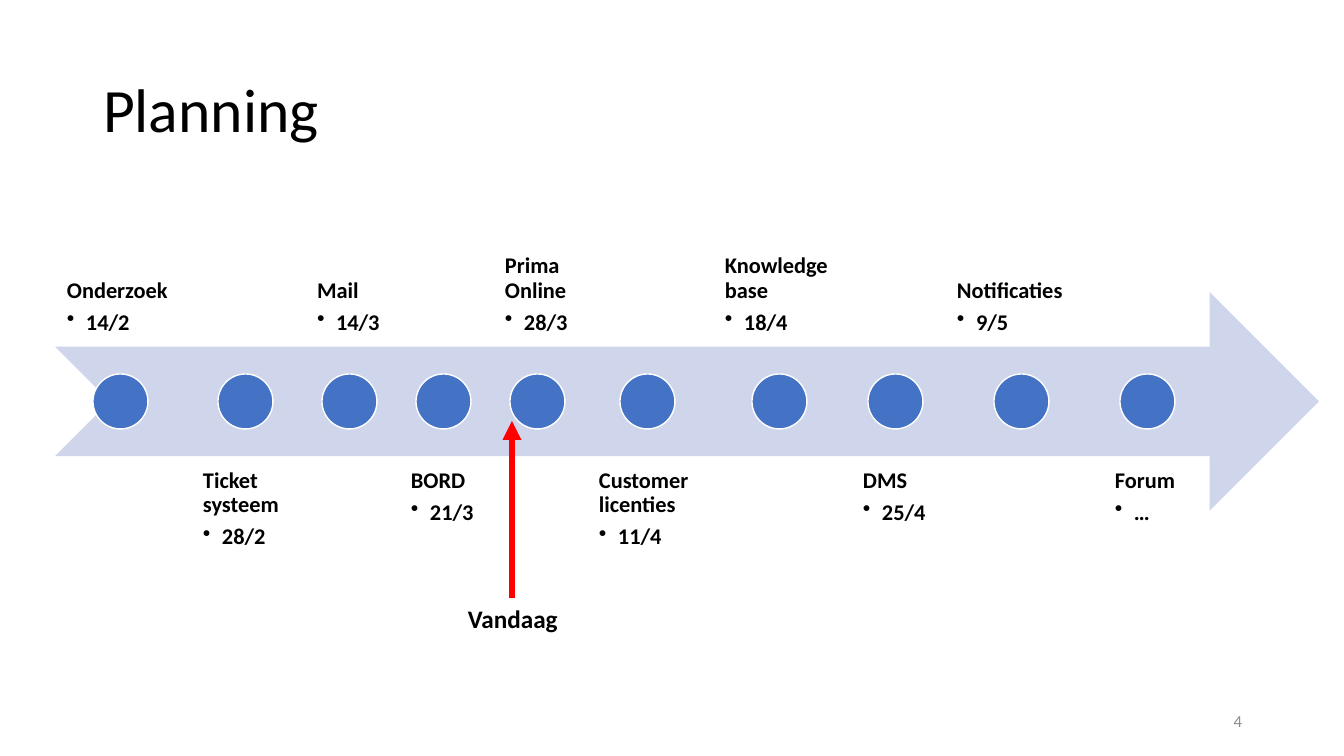
"""Build the planning timeline slide."""
import pptx
import pptx.util
import pptx.dml.color
import pptx.enum.shapes
import pptx.enum.text
import pptx.oxml

RGBColor = pptx.dml.color.RGBColor
Pt = pptx.util.Pt
ALIGN = pptx.enum.text.PP_ALIGN
ANCHOR = pptx.enum.text.MSO_ANCHOR
SHAPE = pptx.enum.shapes.MSO_SHAPE

BLACK = RGBColor(0x00, 0x00, 0x00)
GREY = RGBColor(0x8C, 0x8C, 0x8C)
WHITE = RGBColor(0xFF, 0xFF, 0xFF)
RED = RGBColor(0xFF, 0x00, 0x00)
BLUE = RGBColor(0x44, 0x72, 0xC4)
PALE_BLUE = RGBColor(0xCF, 0xD5, 0xEA)

PX = 914400 / 100.8
BAND_LEFT, BAND_TOP, BAND_WIDTH, BAND_HEIGHT = 55, 292, 1264, 219
LABEL_GAP, LABEL_INSET, BULLET_INDENT = 5, 12, 19
DOT = 55
MILESTONES = [
    ("Onderzoek", "14/2", 131),
    ("Ticket systeem", "28/2", 109),
    ("Mail", "14/3", 89),
    ("BORD", "21/3", 89),
    ("Prima Online", "28/3", 89),
    ("Customer licenties", "11/4", 121),
    ("Knowledge base", "18/4", 133),
    ("DMS", "25/4", 89),
    ("Notificaties", "9/5", 153),
    ("Forum", "…", 89),
]


def emu(*lengths):
    return [round(length * PX) for length in lengths]


def write(p, text, size, color=BLACK, bold=False, **layout):
    r = p.add_run()
    r.text = text
    r.font.color.rgb = color
    for name, value in {"name": "Calibri", "size": Pt(size), "bold": bold}.items():
        setattr(r.font, name, value)
    for name, value in layout.items():
        setattr(p, name, value)


prs = pptx.Presentation()
prs.slide_width, prs.slide_height = emu(1344, 756)
s = prs.slides.add_slide(prs.slide_layouts[5])

title = s.shapes.title
title.left, title.top, title.width, title.height = emu(93, 40, 1159, 146)
title.text_frame.vertical_anchor = ANCHOR.MIDDLE
write(title.text_frame.paragraphs[0], "Planning", 44,
      alignment=ALIGN.LEFT, line_spacing=0.9)

band = s.shapes.add_shape(SHAPE.NOTCHED_RIGHT_ARROW,
                          *emu(BAND_LEFT, BAND_TOP, BAND_WIDTH, BAND_HEIGHT))
band.shadow.inherit = False
band.fill.solid()
band.fill.fore_color.rgb = PALE_BLUE
band.line.fill.background()

left = BAND_LEFT
for i, (name, date, width) in enumerate(MILESTONES):
    above = i % 2 == 0
    top = 128 if above else 457
    label = s.shapes.add_textbox(*emu(left, top, width, BAND_HEIGHT))
    tf = label.text_frame
    tf.word_wrap = True
    tf.vertical_anchor = ANCHOR.BOTTOM if above else ANCHOR.TOP
    for side in ("left", "top", "right", "bottom"):
        setattr(tf, f"margin_{side}", emu(LABEL_INSET)[0])
    write(tf.paragraphs[0], name, 16, bold=True, line_spacing=0.9, space_after=Pt(5.6))
    p = tf.add_paragraph()
    write(p, date, 16, bold=True, line_spacing=0.9, space_after=Pt(2.4), level=1)
    pPr = p._p.get_or_add_pPr()
    indent = emu(BULLET_INDENT)[0]
    pPr.set("marL", str(indent))
    pPr.set("indent", str(-indent))
    bullet = pptx.oxml.ns.qn("a:buChar")
    pPr.append(pPr.makeelement(bullet, {"char": "•"}))

    dot = s.shapes.add_shape(SHAPE.OVAL, *emu(left + (width - DOT) / 2, 374, DOT, DOT))
    dot.shadow.inherit = False
    dot.fill.solid()
    dot.fill.fore_color.rgb = BLUE
    dot.line.color.rgb = WHITE
    dot.line.width = Pt(1)
    left += width + LABEL_GAP

number = s.shapes.add_textbox(*emu(950, 701, 302, 40))
number.text_frame.word_wrap = True
number.text_frame.vertical_anchor = ANCHOR.MIDDLE
write(number.text_frame.paragraphs[0], "4", 12, GREY, alignment=ALIGN.RIGHT)

today = s.shapes.add_connector(pptx.enum.shapes.MSO_CONNECTOR.STRAIGHT,
                               *emu(512, 598, 512, 421))
today.line.color.rgb = RED
today.line.width = Pt(4.5)
ln = today.line._get_or_add_ln()
ln.append(ln.makeelement(pptx.oxml.ns.qn("a:tailEnd"), {"type": "triangle"}))
spPr = today._element.spPr
spPr.append(spPr.makeelement(pptx.oxml.ns.qn("a:effectLst"), {}))

caption = s.shapes.add_textbox(*emu(458, 598, 141, 40))
caption.text_frame.word_wrap = True
write(caption.text_frame.paragraphs[0], "Vandaag", 18, bold=True)

prs.save("out.pptx")
